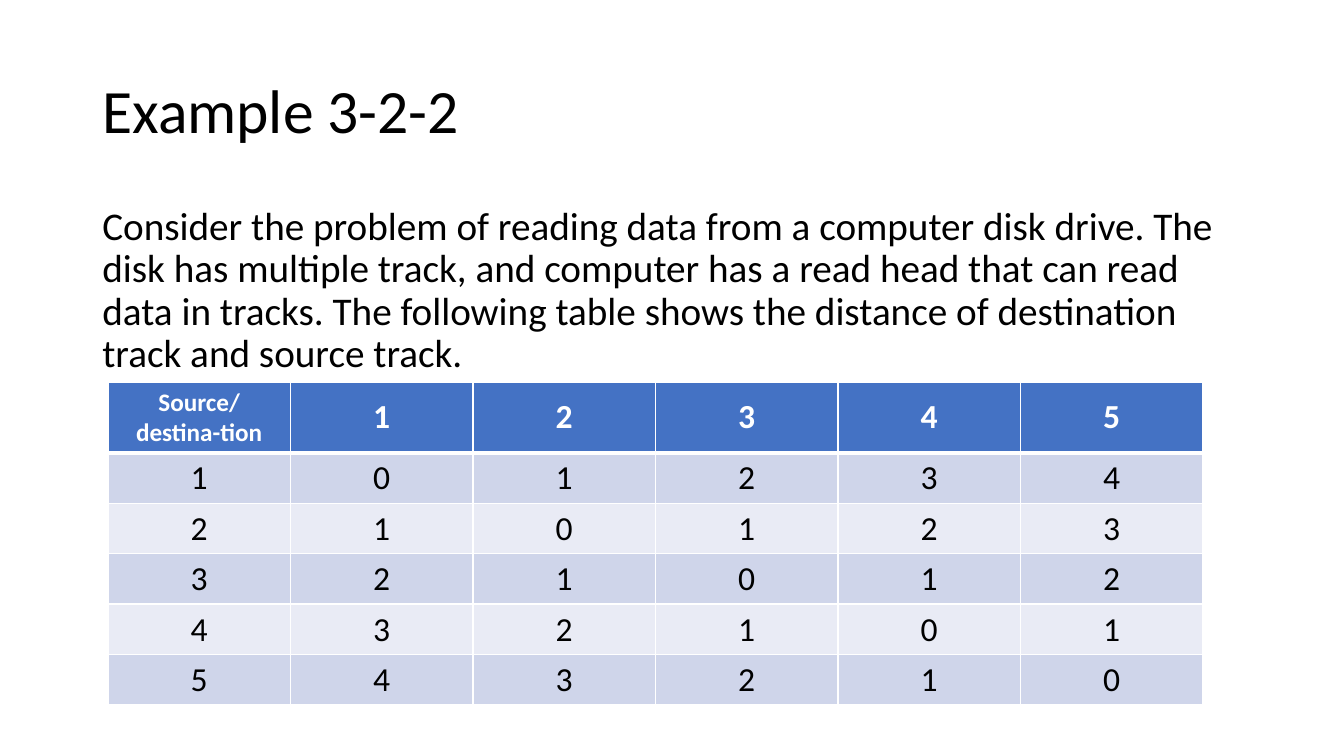
from dataclasses import dataclass

from lxml.etree import SubElement as Sub
from pptx import Presentation
from pptx.dml.color import RGBColor as Rgb
from pptx.enum.text import MSO_ANCHOR as Anchor, PP_ALIGN as Align
from pptx.oxml.ns import qn
from pptx.slide import Slide
from pptx.table import _Cell as Cell
from pptx.text.text import _Paragraph as Para
from pptx.util import Cm, Pt


@dataclass(frozen=True)
class Theme:
    font: str = "Calibri"
    ink: str = "000000"
    white: str = "FFFFFF"
    head: str = "4472C4"
    bands: tuple[str, str] = ("CFD5EA", "E9EBF5")
    title: int = 44
    body: int = 28
    grid: int = 24
    label: int = 18
    thin: int = 1
    thick: int = 3


@dataclass(frozen=True)
class Block:
    text: str
    top: float
    height: float
    size: int
    anchor: Anchor
    before: int


@dataclass(frozen=True)
class Entry:
    text: str
    size: int
    color: str
    bold: bool
    fill: str
    upper: int
    lower: int


THEME = Theme()
TRACKS = range(1, 6)
LEFT, WIDTH = 2.33, 29.21
COL, HEAD, ROW = 4.6, 1.6, 1.17

BLOCKS = (
    Block("Example 3-2-2", 1.02, 3.68, THEME.title, Anchor.MIDDLE, 0),
    Block("Consider the problem of reading data from a computer disk drive. "
          "The disk has multiple track, and computer has a read head that can "
          "read data in tracks. The following table shows the distance of "
          "destination track and source track.",
          5.08, 12.09, THEME.body, Anchor.TOP, 10),
)


def style(para: Para, size: int, color: str, bold: bool = False) -> None:
    for run in para.runs:
        font = run.font
        font.name, font.size, font.bold = THEME.font, Pt(size), bold
        font.color.rgb = Rgb.from_string(color)


def write(slide: Slide, block: Block) -> None:
    box = slide.shapes.add_textbox(
        Cm(LEFT), Cm(block.top), Cm(WIDTH), Cm(block.height))
    frame = box.text_frame
    frame.word_wrap = True
    frame.vertical_anchor = block.anchor
    frame.text = block.text
    para = frame.paragraphs[0]
    para.line_spacing = 0.9
    para.space_before = Pt(block.before)
    style(para, block.size, THEME.ink)


def border(cell: Cell, side: str, width: int) -> None:
    props = cell._tc.get_or_add_tcPr()
    line = Sub(props, qn(f"a:ln{side}"), w=str(Pt(width)))
    Sub(Sub(line, qn("a:solidFill")), qn("a:srgbClr"), val=THEME.white)


def entry(row: int, col: int) -> Entry:
    """Track numbers on the edges, track distances inside."""
    if row == 0:
        text = str(col) if col else "Source/destina-tion"
        size = THEME.grid if col else THEME.label
        return Entry(text, size, THEME.white, True, THEME.head,
                     THEME.thin, THEME.thick)
    text = str(abs(row - col) if col else row)
    upper = THEME.thick if row == 1 else THEME.thin
    return Entry(text, THEME.grid, THEME.ink, False,
                 THEME.bands[(row - 1) % 2], upper, THEME.thin)


def fill(cell: Cell, item: Entry) -> None:
    cell.text_frame.text = item.text
    cell.vertical_anchor = Anchor.MIDDLE
    para = cell.text_frame.paragraphs[0]
    para.alignment = Align.CENTER
    style(para, item.size, item.color, item.bold)
    # Borders come before the fill in the cell properties
    for side, width in (("L", THEME.thin), ("R", THEME.thin),
                        ("T", item.upper), ("B", item.lower)):
        border(cell, side, width)
    cell.fill.solid()
    cell.fill.fore_color.rgb = Rgb.from_string(item.fill)


def chart(slide: Slide) -> None:
    count = len(TRACKS) + 1
    table = slide.shapes.add_table(
        count, count, Cm(2.72), Cm(9.63), Cm(COL * count),
        Cm(HEAD + ROW * len(TRACKS))).table
    table.horz_banding = False
    for col in table.columns:
        col.width = Cm(COL)
    for y, row in enumerate(table.rows):
        row.height = Cm(ROW if y else HEAD)
        for x, cell in enumerate(row.cells):
            fill(cell, entry(y, x))


def main() -> None:
    deck = Presentation()
    deck.slide_width, deck.slide_height = Cm(33.87), Cm(19.05)
    slide = deck.slides.add_slide(deck.slide_layouts[6])

    # Title and problem text
    for block in BLOCKS:
        write(slide, block)

    # Distance table
    chart(slide)
    deck.save("out.pptx")


if __name__ == "__main__":
    main()
